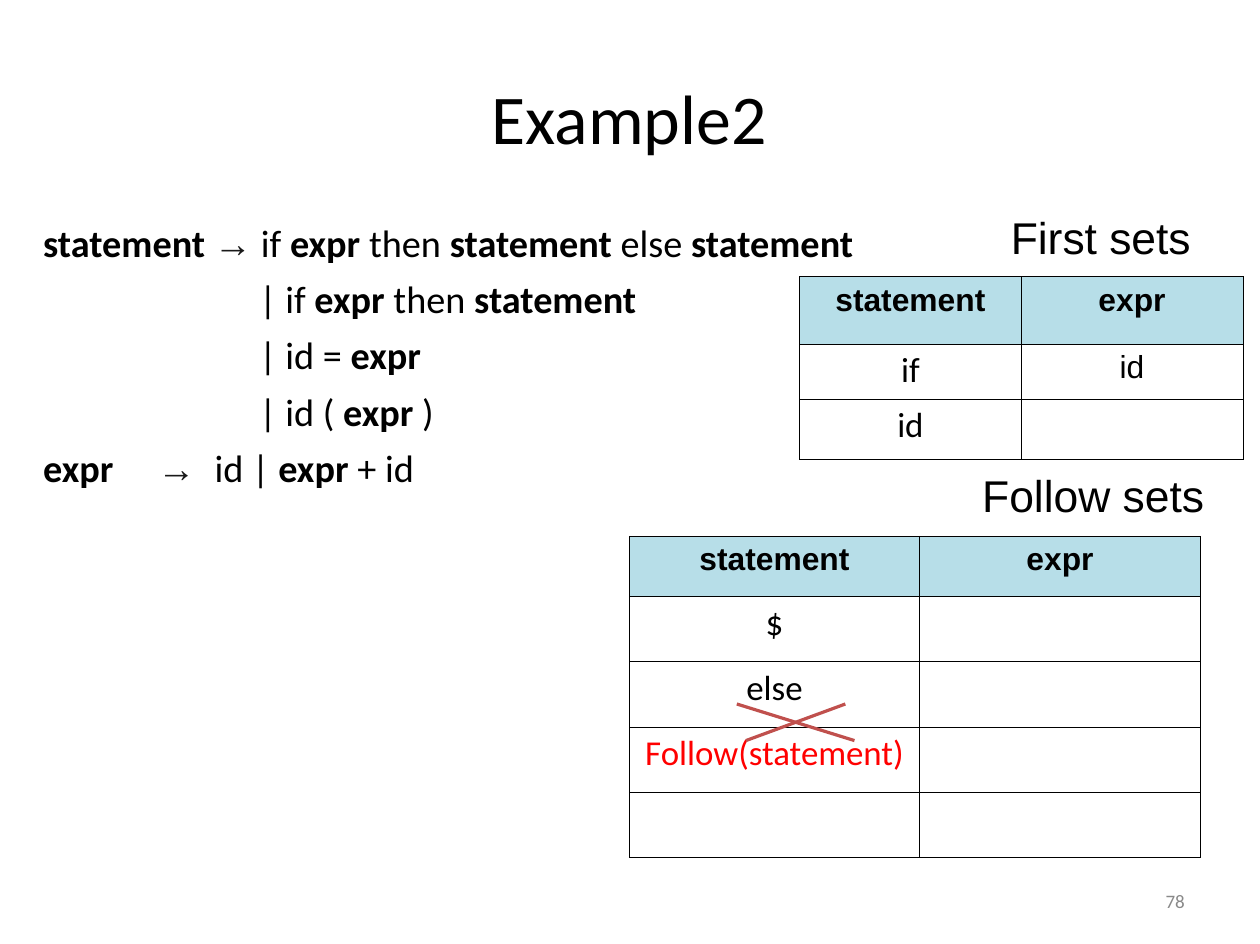
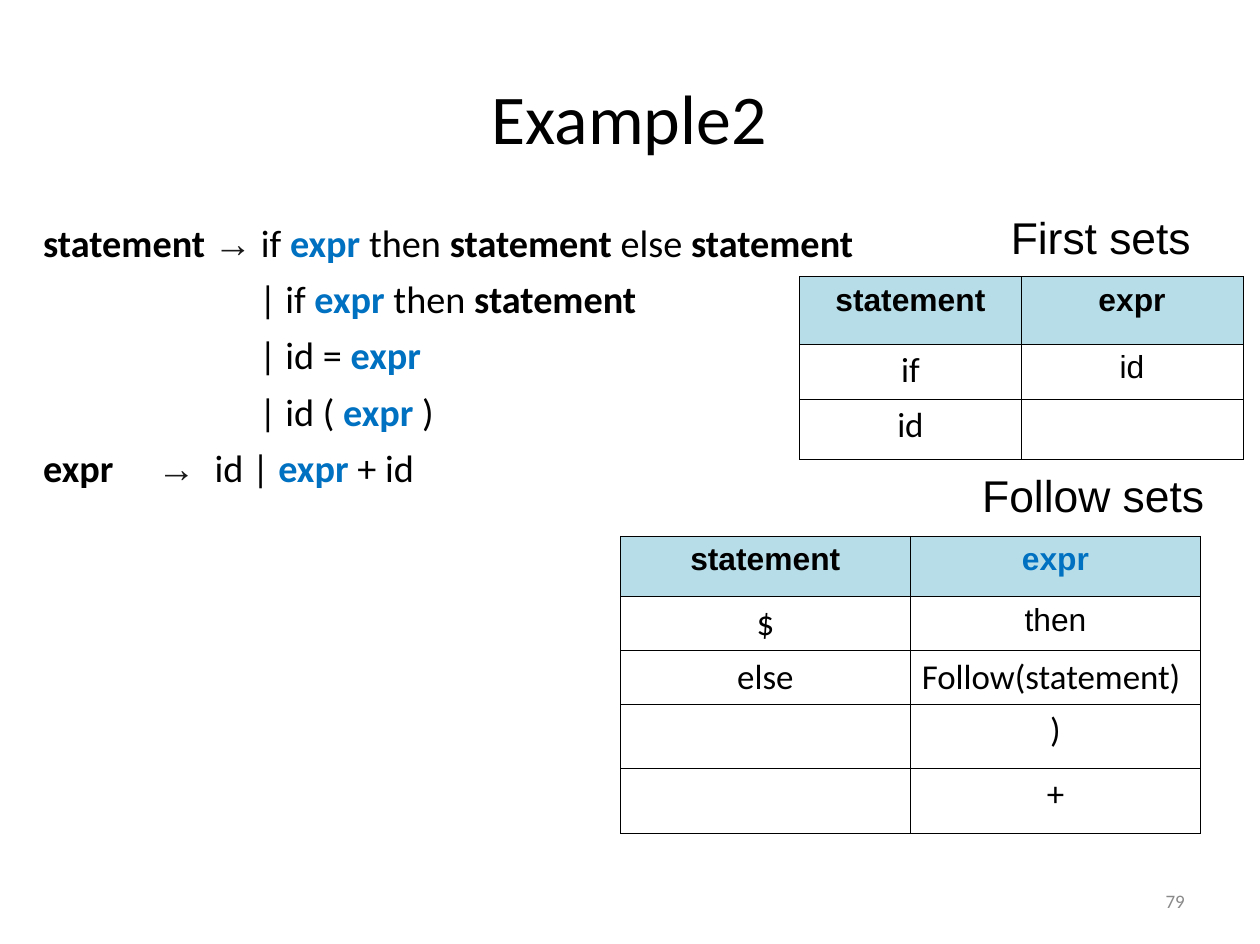
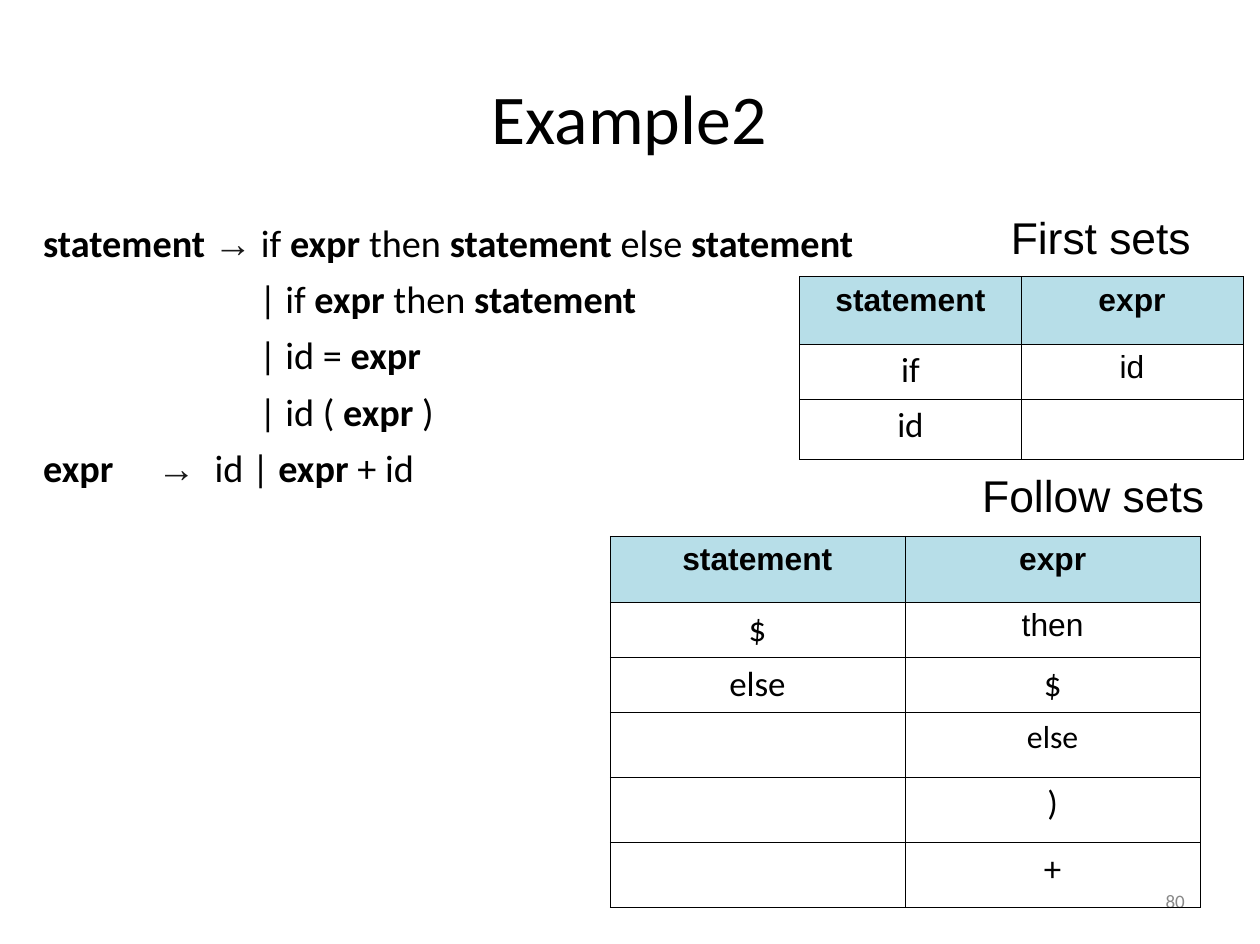
import pptx
import pptx.dml.color
import pptx.enum.shapes
import pptx.enum.text
import pptx.oxml
import pptx.oxml.ns
import pptx.util
from lxml import etree

Inches = pptx.util.Inches
Pt = pptx.util.Pt
ALIGN = pptx.enum.text.PP_ALIGN
ANCHOR = pptx.enum.text.MSO_ANCHOR

COLORS = {
    "text": "000000",
    "arrow": "191919",
    "page": "898989",
    "header": "B7DEE8",
    "highlight": "0070C0",
    "rejected": "FF0000",
    "cross": "C0504D",
}
BODY_FONT, LABEL_FONT = "Calibri", "Arial"

ARIAL_20 = {"size": 20, "font": LABEL_FONT}
HEADER = {**ARIAL_20, "bold": True}

# Each run is (text, role); each line is (left indent, tab stops, runs).
OR_INDENT = 1.89
GRAMMAR = [
    (0, [], [("statement ", "name"), ("→", "arrow"), (" if ", "terminal"),
             ("expr", "expr"), (" then ", "terminal"), ("statement", "name"),
             (" else ", "terminal"), ("statement", "name")]),
    (OR_INDENT, [], [("| if ", "terminal"), ("expr", "expr"),
                     (" then ", "terminal"), ("statement", "name")]),
    (OR_INDENT, [], [("| id = ", "terminal"), ("expr", "expr")]),
    (OR_INDENT, [], [("| id (", "terminal"), (" expr ", "expr"),
                     (")", "terminal")]),
    (0, [0.76, 1.23], [("expr\t", "name"), ("→\t", "arrow"),
                       ("id |", "terminal"), (" expr ", "expr"),
                       ("+ id", "terminal")]),
]

FIRST_ROWS = [
    [("statement", HEADER), ("expr", HEADER)],
    ["if", ("id", ARIAL_20)],
    ["id", ""],
]


def rgb(name):
    return pptx.dml.color.RGBColor.from_string(COLORS[name])


def add_run(paragraph, text, size, font=BODY_FONT, color="text", bold=False):
    run = paragraph.add_run()
    run.text = text
    run.font.size = Pt(size)
    run.font.name = font
    run.font.bold = bold
    run.font.color.rgb = rgb(color)


def add_text_box(slide, left, top, width, height, wrap=True):
    box = slide.shapes.add_textbox(Inches(left), Inches(top),
                                   Inches(width), Inches(height))
    box.text_frame.word_wrap = wrap
    return box.text_frame


def set_title(slide, text):
    title = slide.shapes.title
    title.left, title.top = Inches(0.55), Inches(0.33)
    title.width, title.height = Inches(9.92), Inches(1.38)
    title.text_frame.vertical_anchor = ANCHOR.MIDDLE
    paragraph = title.text_frame.paragraphs[0]
    paragraph.alignment = ALIGN.CENTER
    add_run(paragraph, text, 44)


def add_page_number(slide, number):
    frame = add_text_box(slide, 7.9, 7.66, 2.57, 0.44)
    frame.vertical_anchor = ANCHOR.MIDDLE
    paragraph = frame.paragraphs[0]
    paragraph.alignment = ALIGN.RIGHT
    add_run(paragraph, str(number), 12, color="page")


def add_label(slide, text, left, top, width):
    frame = add_text_box(slide, left, top, width, 0.57, wrap=False)
    add_run(frame.paragraphs[0], text, 28, LABEL_FONT)


def set_indent_and_tabs(paragraph, indent, tab_stops):
    properties = paragraph._p.get_or_add_pPr()
    properties.set("marL", str(Inches(indent)))
    properties.set("indent", "0")
    if tab_stops:
        tabs = etree.SubElement(properties, pptx.oxml.ns.qn("a:tabLst"))
        for stop in tab_stops:
            etree.SubElement(tabs, pptx.oxml.ns.qn("a:tab"),
                             pos=str(Inches(stop)), algn="l")


def add_grammar(slide, expr_color):
    """Write the productions, with expr on the right-hand sides in expr_color."""
    styles = {
        "name": {"bold": True},
        "expr": {"bold": True, "color": expr_color},
        "arrow": {"font": LABEL_FONT, "color": "arrow"},
        "terminal": {},
    }
    frame = add_text_box(slide, 0.28, 1.87, 9.53, 2.58)
    for index, (indent, tab_stops, runs) in enumerate(GRAMMAR):
        paragraph = frame.add_paragraph() if index else frame.paragraphs[0]
        set_indent_and_tabs(paragraph, indent, tab_stops)
        if index:
            paragraph.space_before = Pt(6.5)
        for text, role in runs:
            add_run(paragraph, text, 24.1, **styles[role])


def set_borders(cell):
    properties = cell._tc.get_or_add_tcPr()
    for side in ("lnL", "lnR", "lnT", "lnB"):
        line = etree.SubElement(properties, pptx.oxml.ns.qn(f"a:{side}"),
                                w=str(Pt(0.34)))
        fill = etree.SubElement(line, pptx.oxml.ns.qn("a:solidFill"))
        etree.SubElement(fill, pptx.oxml.ns.qn("a:srgbClr"),
                         val=COLORS["text"])


def fill_cell(cell, entry, is_header):
    """Entry is a text, or a text with the style that differs from 22 pt."""
    text, style = (entry, {}) if isinstance(entry, str) else entry
    style = {"size": 22, "align": ALIGN.CENTER, **style}
    set_borders(cell)
    if is_header:
        cell.fill.solid()
        cell.fill.fore_color.rgb = rgb("header")
    else:
        cell.fill.background()
    paragraph = cell.text_frame.paragraphs[0]
    paragraph.alignment = style.pop("align")
    if text:
        add_run(paragraph, text, **style)


def add_set_table(slide, left, top, widths, heights, rows):
    table = slide.shapes.add_table(
        len(rows), len(widths), Inches(left), Inches(top),
        Inches(sum(widths)), Inches(sum(heights))).table
    table.first_row = table.horz_banding = False
    for column, width in zip(table.columns, widths):
        column.width = Inches(width)
    for r, (entries, height) in enumerate(zip(rows, heights)):
        table.rows[r].height = Inches(height)
        for c, entry in enumerate(entries):
            fill_cell(table.cell(r, c), entry, is_header=r == 0)


def add_cross_line(slide, x1, y1, x2, y2):
    line = slide.shapes.add_connector(
        pptx.enum.shapes.MSO_CONNECTOR.STRAIGHT,
        Inches(x1), Inches(y1), Inches(x2), Inches(y2))
    line.line.color.rgb = rgb("cross")
    line.line.width = Pt(2)
    etree.SubElement(line._element.spPr, pptx.oxml.ns.qn("a:effectLst"))


def add_example_slide(deck, number, follow_left, follow_widths,
                      follow_heights, follow_rows, expr_color="text"):
    slide = deck.slides.add_slide(deck.slide_layouts[5])
    add_page_number(slide, number)
    set_title(slide, "Example2")
    add_grammar(slide, expr_color)
    add_set_table(slide, 7, 2.42, [1.94, 1.94], [0.59, 0.48, 0.53], FIRST_ROWS)
    add_label(slide, "First sets", 8.75, 1.79, 1.78)
    header = [("statement", HEADER), ("expr", {**HEADER, "color": expr_color})]
    add_set_table(slide, follow_left, 4.69, follow_widths, follow_heights,
                  [header] + follow_rows)
    add_label(slide, "Follow sets", 8.5, 4.05, 2.14)
    return slide


def main():
    deck = pptx.Presentation()
    deck.slide_width, deck.slide_height = Inches(11.03), Inches(8.26)

    slide = add_example_slide(
        deck, 78, 5.51, [2.54, 2.46], [0.53] + [0.57] * 4,
        [["$", ""],
         ["else", ""],
         [("Follow(statement)", {"color": "rejected"}), ""],
         ["", ""]])
    add_cross_line(slide, 6.45, 6.16, 7.48, 6.48)
    add_cross_line(slide, 6.53, 6.48, 7.4, 6.16)

    add_example_slide(
        deck, 79, 5.43, [2.54, 2.54], [0.53, 0.47, 0.47, 0.56, 0.57],
        [["$", ("then", ARIAL_20)],
         ["else", ("Follow(statement)", {"align": ALIGN.LEFT})],
         ["", ")"],
         ["", "+"]],
        expr_color="highlight")

    add_example_slide(
        deck, 80, 5.34, [2.58, 2.59], [0.58, 0.48, 0.48] + [0.57] * 3,
        [["$", ("then", ARIAL_20)],
         ["else", "$"],
         ["", ("else", {"size": 20})],
         ["", ")"],
         ["", "+"]])

    deck.save("out.pptx")


if __name__ == "__main__":
    main()
